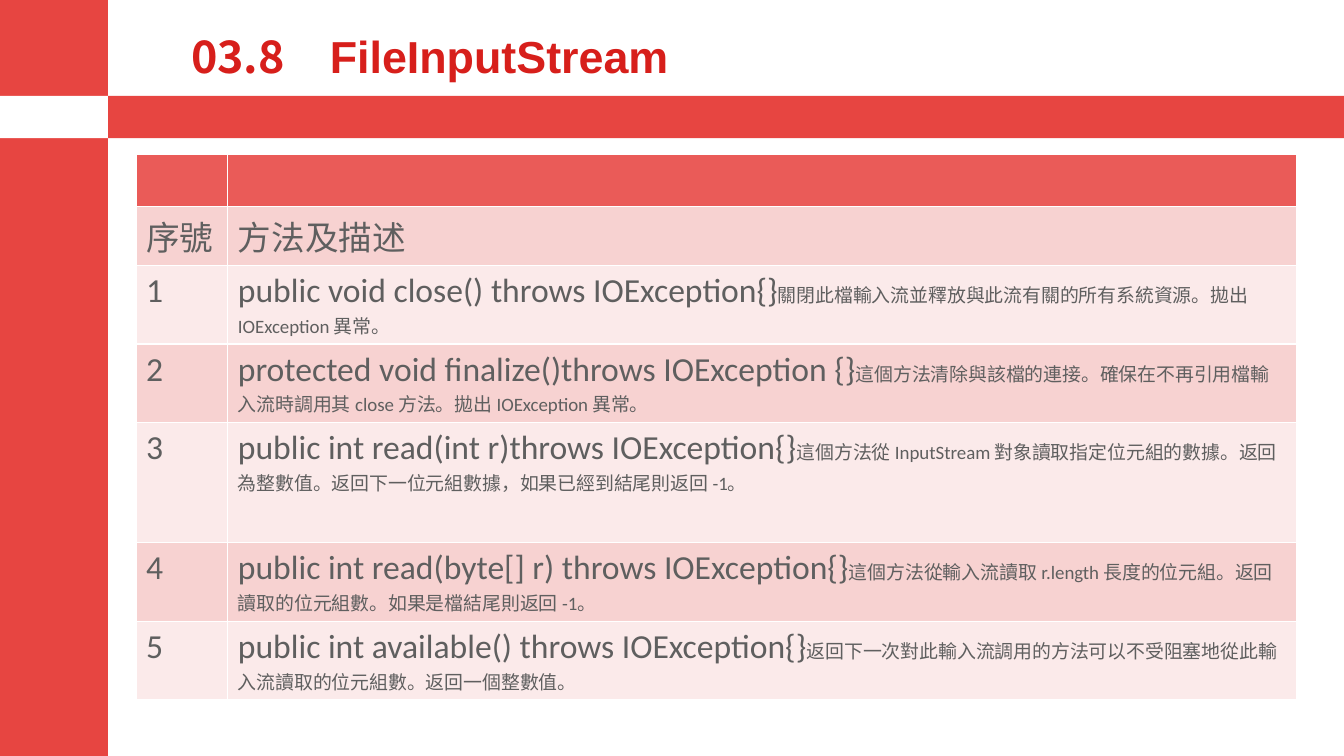
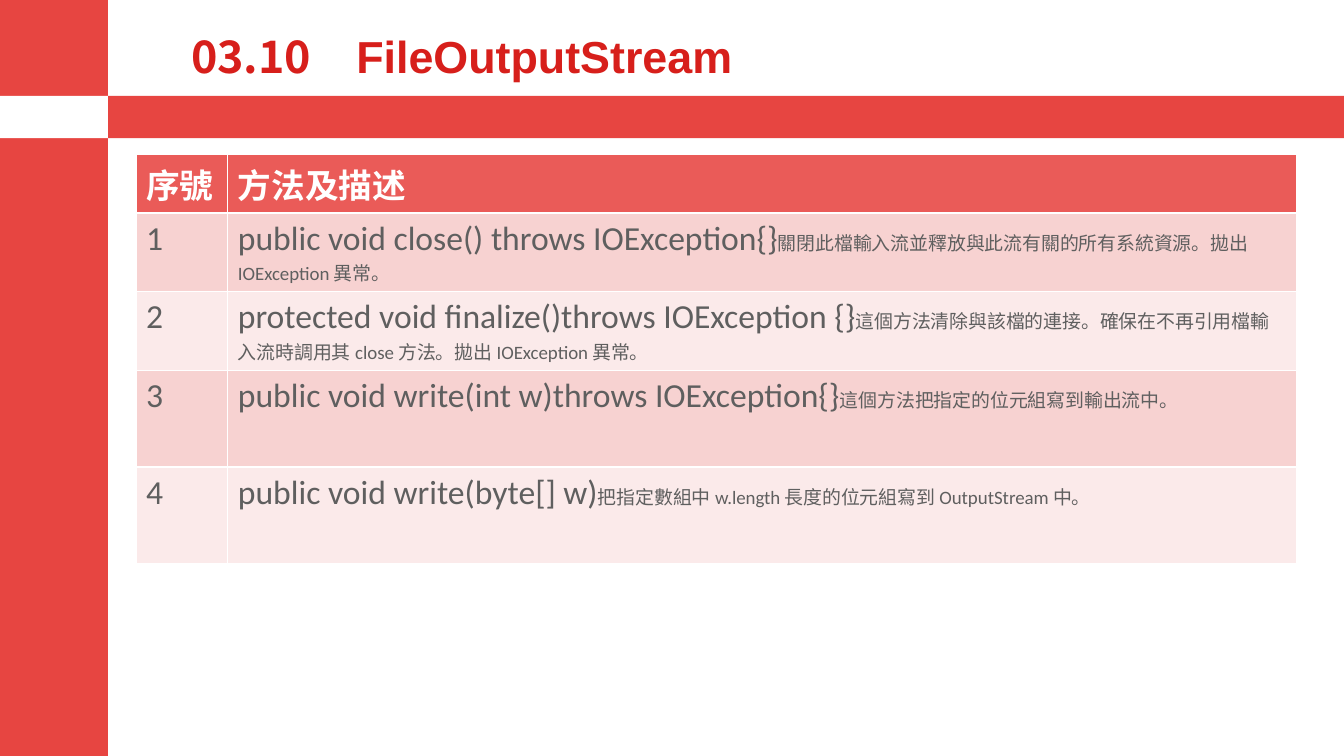
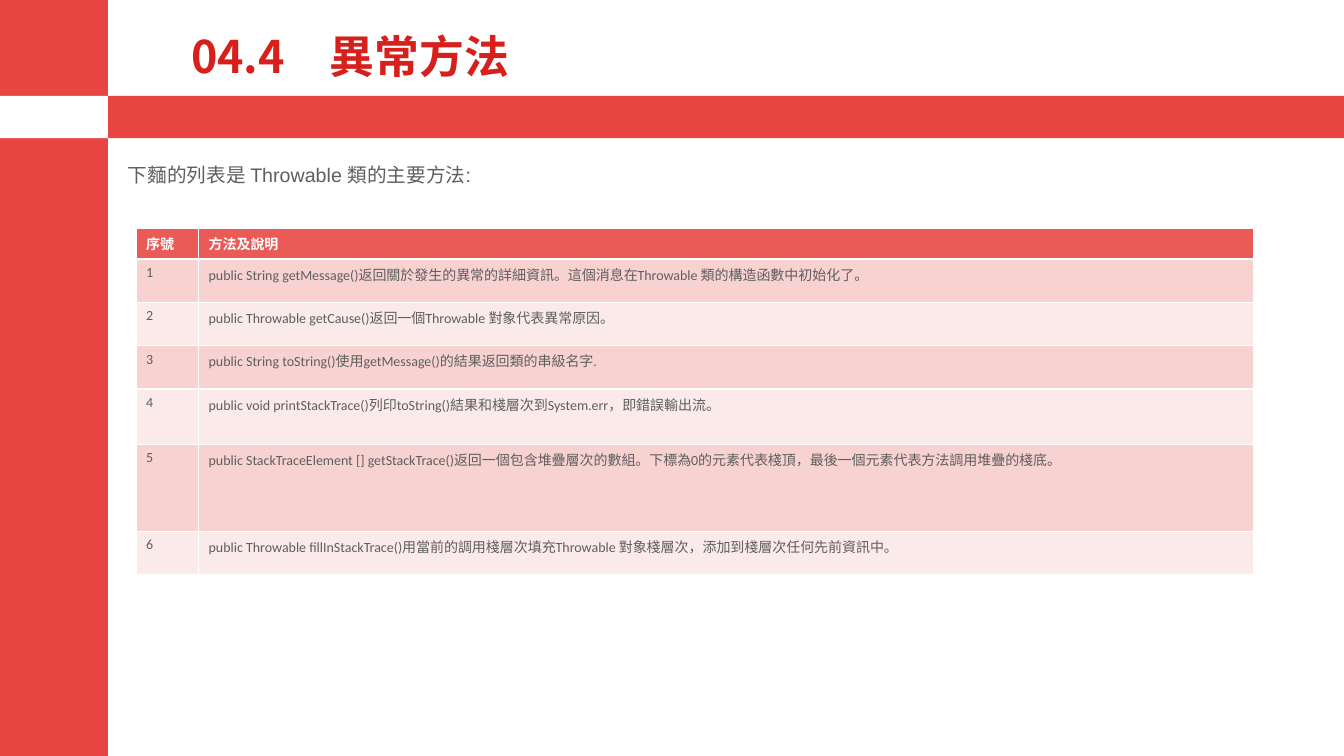
"""Build three slides on Java file streams and exception methods."""
from lxml import etree
from pptx import Presentation
from pptx.dml.color import RGBColor
from pptx.enum.shapes import MSO_SHAPE
from pptx.enum.text import MSO_ANCHOR, MSO_AUTO_SIZE, PP_ALIGN
from pptx.oxml.ns import qn
from pptx.util import Inches, Pt

RECTANGLE = MSO_SHAPE.RECTANGLE
BOTTOM = MSO_ANCHOR.BOTTOM
LEFT = PP_ALIGN.LEFT
NO_FIT, GROW = MSO_AUTO_SIZE.NONE, MSO_AUTO_SIZE.SHAPE_TO_FIT_TEXT

COLORS = {
    "band": "E74541",
    "title": "D71F1B",
    "text": "5F5F5F",
    "white": "FFFFFF",
    "header": "EA5B58",
    "odd": "F7D2D1",
    "even": "FBEAEA",
}
TITLE_FONT, LATIN_FONT, TABLE_FONT = "Noto Sans CJK SC", "Arial", "Calibri"
DESCRIPTION_SIZE = 13.5

BANDS = [
    ("band", 0, -0.03, 1.07, 7.53),
    ("band", 0, 0.95, 13.33, 0.42),
    ("white", 0, 0.95, 1.07, 0.42),
]

CLOSE = (
    "1", "public void close() throws IOException{}",
    "關閉此檔輸入流並釋放與此流有關的所有系統資源。拋出 IOException 異常。",
)
FINALIZE = (
    "2", "protected void finalize()throws IOException {}",
    "這個方法清除與該檔的連接。確保在不再引用檔輸入流時調用其 close 方法。拋出 IOException 異常。",
)

SLIDES = [
    {
        "title": ("　03.8　", "FileInputStream"),
        "top": 1.53,
        "columns": (0.91, 10.6),
        "heights": (0.52, 0.57, 0.78, 0.78, 1.19, 0.78, 0.78),
        "size": 24,
        "rows": [
            ("", ""),
            ("序號", "方法及描述"),
            CLOSE,
            FINALIZE,
            ("3", "public int read(int r)throws IOException{}",
             "這個方法從 InputStream 對象讀取指定位元組的數據。返回為整數值。返回下一位元組數據，如果已經到結尾則返回 -1。"),
            ("4", "public int read(byte[] r) throws IOException{}",
             "這個方法從輸入流讀取 r.length 長度的位元組。返回讀取的位元組數。如果是檔結尾則返回 -1。"),
            ("5", "public int available() throws IOException{}",
             "返回下一次對此輸入流調用的方法可以不受阻塞地從此輸入流讀取的位元組數。返回一個整數值。"),
        ],
    },
    {
        "title": ("　03.10　", "FileOutputStream"),
        "top": 1.53,
        "columns": (0.91, 10.6),
        "heights": (0.57, 0.78, 0.78, 0.96, 0.96),
        "size": 24,
        "rows": [
            ("序號", "方法及描述"),
            CLOSE,
            FINALIZE,
            ("3", "public void write(int w)throws IOException{}",
             "這個方法把指定的位元組寫到輸出流中。"),
            ("4", "public void write(byte[] w)",
             "把指定數組中 w.length 長度的位元組寫到 OutputStream 中。"),
        ],
    },
    {
        "title": ("　04.4　異常方法",),
        "intro": "下麵的列表是 Throwable 類的主要方法:",
        "top": 2.27,
        "columns": (0.62, 10.46),
        "heights": (0.3, 0.43, 0.43, 0.43, 0.55, 0.86, 0.43),
        "size": 10,
        "rows": [
            ("序號", "方法及說明"),
            ("1", "public String getMessage()返回關於發生的異常的詳細資訊。這個消息在Throwable 類的構造函數中初始化了。"),
            ("2", "public Throwable getCause()返回一個Throwable 對象代表異常原因。"),
            ("3", "public String toString()使用getMessage()的結果返回類的串級名字."),
            ("4", "public void printStackTrace()列印toString()結果和棧層次到System.err，即錯誤輸出流。"),
            ("5", "public StackTraceElement [] getStackTrace()返回一個包含堆疊層次的數組。下標為0的元素代表棧頂，最後一個元素代表方法調用堆疊的棧底。"),
            ("6", "public Throwable fillInStackTrace()用當前的調用棧層次填充Throwable 對象棧層次，添加到棧層次任何先前資訊中。"),
        ],
    },
]


def rgb(name):
    return RGBColor.from_string(COLORS[name])


def style(font, name, size, color, bold=False):
    font.name, font.size, font.bold = name, Pt(size), bold
    font.color.rgb = rgb(color)


def prepare_layout(layout):
    title, *footers = layout.placeholders
    for footer in footers:
        footer.element.getparent().remove(footer.element)
    title.left, title.top = Inches(1.35), Inches(0.11)
    title.width, title.height = Inches(11.51), Inches(0.77)


def add_bands(slide, layout):
    """Draw the bands and move them into the layout behind its title."""
    title = layout.placeholders[0]
    for color, *box in BANDS:
        band = slide.shapes.add_shape(RECTANGLE, *map(Inches, box))
        band.shadow.inherit = False
        band.fill.solid()
        band.fill.fore_color.rgb = rgb(color)
        band.line.fill.background()
        title.element.addprevious(band.element)


def fill_title(title, parts):
    frame = title.text_frame
    frame.vertical_anchor, frame.auto_size = BOTTOM, NO_FIT
    paragraph = frame.paragraphs[0]
    paragraph.alignment, paragraph.line_spacing = LEFT, 0.9
    style(paragraph.font, TITLE_FONT, 32, "title", True)
    for properties in title.element.iter(qn("a:defRPr")):
        etree.SubElement(properties, qn("a:ea"), typeface=TITLE_FONT)
    for index, text in enumerate(parts):
        run = paragraph.add_run()
        run.text = text
        if index:
            run.font.name = LATIN_FONT


def add_intro(slide, text):
    box = slide.shapes.add_textbox(Inches(1.17), Inches(1.5), Inches(11.68), Inches(0.41))
    box.text_frame.word_wrap, box.text_frame.auto_size = True, GROW
    paragraph = box.text_frame.paragraphs[0]
    paragraph.text, paragraph.line_spacing = text, 1.3
    style(paragraph.font, LATIN_FONT, 14, "text")


def fill_cell(cell, parts, row_index, size):
    header = row_index == 0
    cell.fill.solid()
    cell.fill.fore_color.rgb = rgb("header" if header else "odd" if row_index % 2 else "even")
    paragraph = cell.text_frame.paragraphs[0]
    style(paragraph.font, TABLE_FONT, size, "white" if header else "text", header)
    for index, text in enumerate(filter(None, parts)):
        run = paragraph.add_run()
        run.text = text
        if index:
            run.font.size = Pt(DESCRIPTION_SIZE)


def add_method_table(slide, content):
    columns, heights, rows = content["columns"], content["heights"], content["rows"]
    table = slide.shapes.add_table(
        len(rows), len(columns), Inches(1.35), Inches(content["top"]),
        Inches(sum(columns)), Inches(sum(heights))).table
    for column, width in zip(table.columns, columns):
        column.width = Inches(width)
    for index, (number, *description) in enumerate(rows):
        table.rows[index].height = Inches(heights[index])
        fill_cell(table.cell(index, 0), [number], index, content["size"])
        fill_cell(table.cell(index, 1), description, index, content["size"])


def main():
    presentation = Presentation()
    presentation.slide_width, presentation.slide_height = Inches(13.33), Inches(7.5)
    layout = presentation.slide_layouts[5]
    prepare_layout(layout)
    for index, content in enumerate(SLIDES):
        slide = presentation.slides.add_slide(layout)
        if index == 0:
            add_bands(slide, layout)
        fill_title(slide.shapes.title, content["title"])
        if "intro" in content:
            add_intro(slide, content["intro"])
        add_method_table(slide, content)
    presentation.save("out.pptx")


if __name__ == "__main__":
    main()
